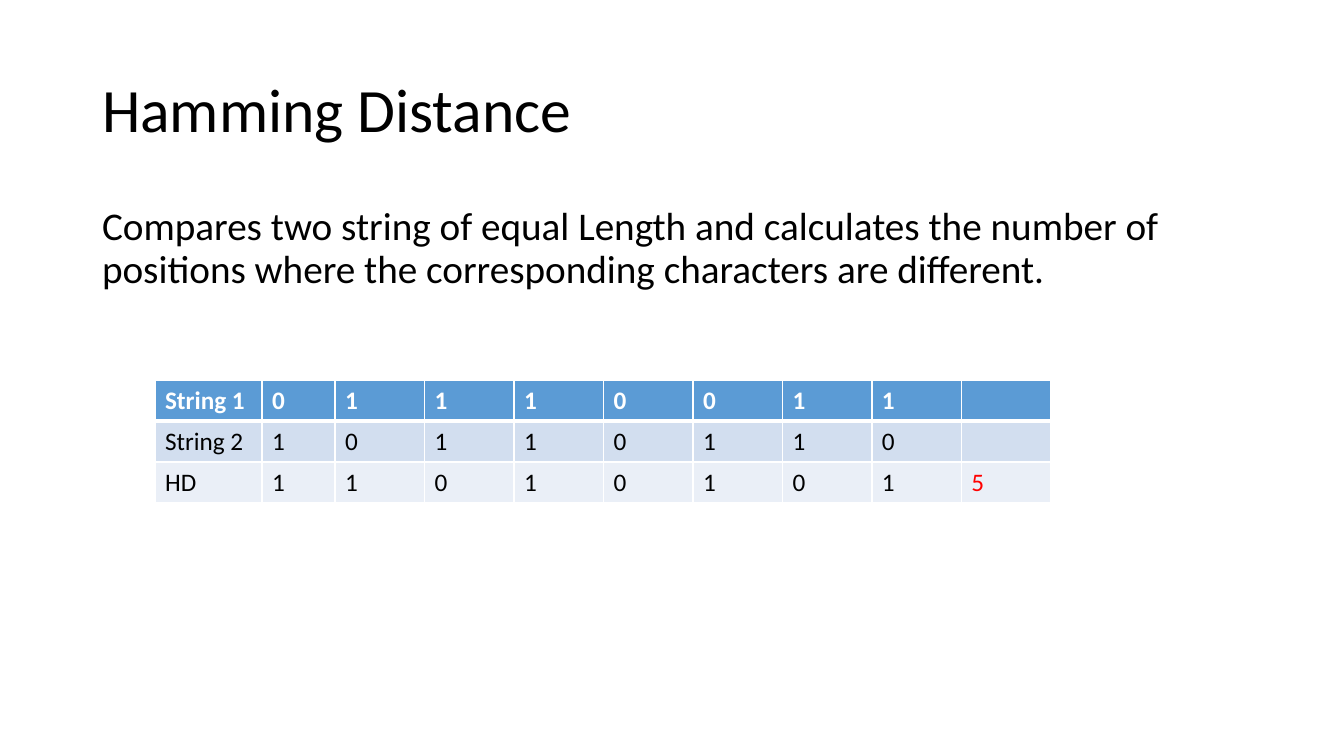
"""Build a slide that explains the Hamming distance of two bit strings."""
from dataclasses import dataclass
from typing import Any, NamedTuple

from lxml.etree import SubElement
from pptx import Presentation
from pptx.dml.color import RGBColor
from pptx.enum.text import MSO_ANCHOR, MSO_AUTO_SIZE, PP_ALIGN
from pptx.oxml.ns import qn
from pptx.util import Emu, Pt

PIXEL = 914400 / 100.8


@dataclass(frozen=True)
class Theme:
    font: str = "Calibri"
    text: str = "000000"
    header_text: str = "FFFFFF"
    result_text: str = "FF0000"
    border: str = "FFFFFF"
    header_fill: str = "5B9BD5"
    odd_fill: str = "D2DEEF"
    even_fill: str = "EAEFF7"
    title_size: int = 44
    body_size: int = 28
    table_size: int = 18
    thin_line: int = 1
    thick_line: int = 3


class Box(NamedTuple):
    left: int
    top: int
    width: int
    height: int


class BitRow(NamedTuple):
    label: str
    bits: str
    result: str
    fill: str
    color: str
    bold: bool


THEME = Theme()
TITLE_BOX = Box(92, 40, 1159, 146)
BODY_BOX = Box(92, 202, 1159, 480)
TABLE_BOX = Box(155, 380, 896, 123)
LABEL_WIDTH, FIRST_BIT_WIDTH = 107, 73
BIT_ROWS = [
    BitRow("String 1", "01110011", "", THEME.header_fill, THEME.header_text, True),
    BitRow("String 2", "10110110", "", THEME.odd_fill, THEME.text, False),
    BitRow("HD", "11010101", "5", THEME.even_fill, THEME.text, False),
]


def to_emu(pixels: float) -> Emu:
    return Emu(round(pixels * PIXEL))


def apply_format(target: Any, values: dict[str, Any]) -> None:
    for name, value in values.items():
        setattr(target, name, value)


def format_span(span: Any, size: int, color: str, bold: bool = False) -> None:
    apply_format(span.font, {"name": THEME.font, "size": Pt(size), "bold": bold})
    span.font.color.rgb = RGBColor.from_string(color)


def fill_placeholder(shape: Any, box: Box, text: str, size: int,
                     anchor: MSO_ANCHOR, space_before: int) -> None:
    apply_format(shape, {name: to_emu(value) for name, value in box._asdict().items()})
    apply_format(shape.text_frame, {"word_wrap": True, "vertical_anchor": anchor,
                                    "auto_size": MSO_AUTO_SIZE.NONE})
    para = shape.text_frame.paragraphs[0]
    apply_format(para, {"alignment": PP_ALIGN.LEFT, "line_spacing": 0.9,
                        "space_before": Pt(space_before)})
    properties = para._p.get_or_add_pPr()
    properties.set("marL", "0")
    properties.set("indent", "0")
    SubElement(properties, qn("a:buNone"))
    span = para.add_run()
    span.text = text
    format_span(span, size, THEME.text)


def add_borders(cell: Any, row_index: int) -> None:
    thin, thick = THEME.thin_line, THEME.thick_line
    widths = {"L": thin, "R": thin,
              "T": thick if row_index == 1 else thin,
              "B": thick if row_index == 0 else thin}
    properties = cell._tc.get_or_add_tcPr()
    for side, width in widths.items():
        line = SubElement(properties, qn(f"a:ln{side}"), w=str(Pt(width)))
        SubElement(SubElement(line, qn("a:solidFill")), qn("a:srgbClr"), val=THEME.border)


def add_bit_table(page: Any) -> None:
    columns = len(BIT_ROWS[0].bits) + 2
    frame = page.shapes.add_table(len(BIT_ROWS), columns, *map(to_emu, TABLE_BOX))
    table = frame.table
    equal_width = (TABLE_BOX.width - LABEL_WIDTH - FIRST_BIT_WIDTH) / (columns - 2)
    widths = [LABEL_WIDTH, FIRST_BIT_WIDTH] + [equal_width] * (columns - 2)
    for column, width in zip(table.columns, widths):
        column.width = to_emu(width)
    for row_index, row in enumerate(BIT_ROWS):
        table.rows[row_index].height = to_emu(TABLE_BOX.height / len(BIT_ROWS))
        for column_index, text in enumerate([row.label, *row.bits, row.result]):
            cell = table.cell(row_index, column_index)
            add_borders(cell, row_index)
            cell.fill.solid()
            cell.fill.fore_color.rgb = RGBColor.from_string(row.fill)
            if text:
                span = cell.text_frame.paragraphs[0].add_run()
                span.text = text
                color = THEME.result_text if column_index == columns - 1 else row.color
                format_span(span, THEME.table_size, color, row.bold)


def main() -> None:
    deck = Presentation()
    apply_format(deck, {"slide_width": to_emu(1344), "slide_height": to_emu(756)})
    page = deck.slides.add_slide(deck.slide_layouts[1])
    fill_placeholder(page.shapes.title, TITLE_BOX, "Hamming Distance",
                     THEME.title_size, MSO_ANCHOR.MIDDLE, 0)
    fill_placeholder(page.placeholders[1], BODY_BOX,
                     "Compares two string of equal Length and calculates the number of "
                     "positions where the corresponding characters are different.",
                     THEME.body_size, MSO_ANCHOR.TOP, 10)
    add_bit_table(page)
    deck.save("out.pptx")


main()
